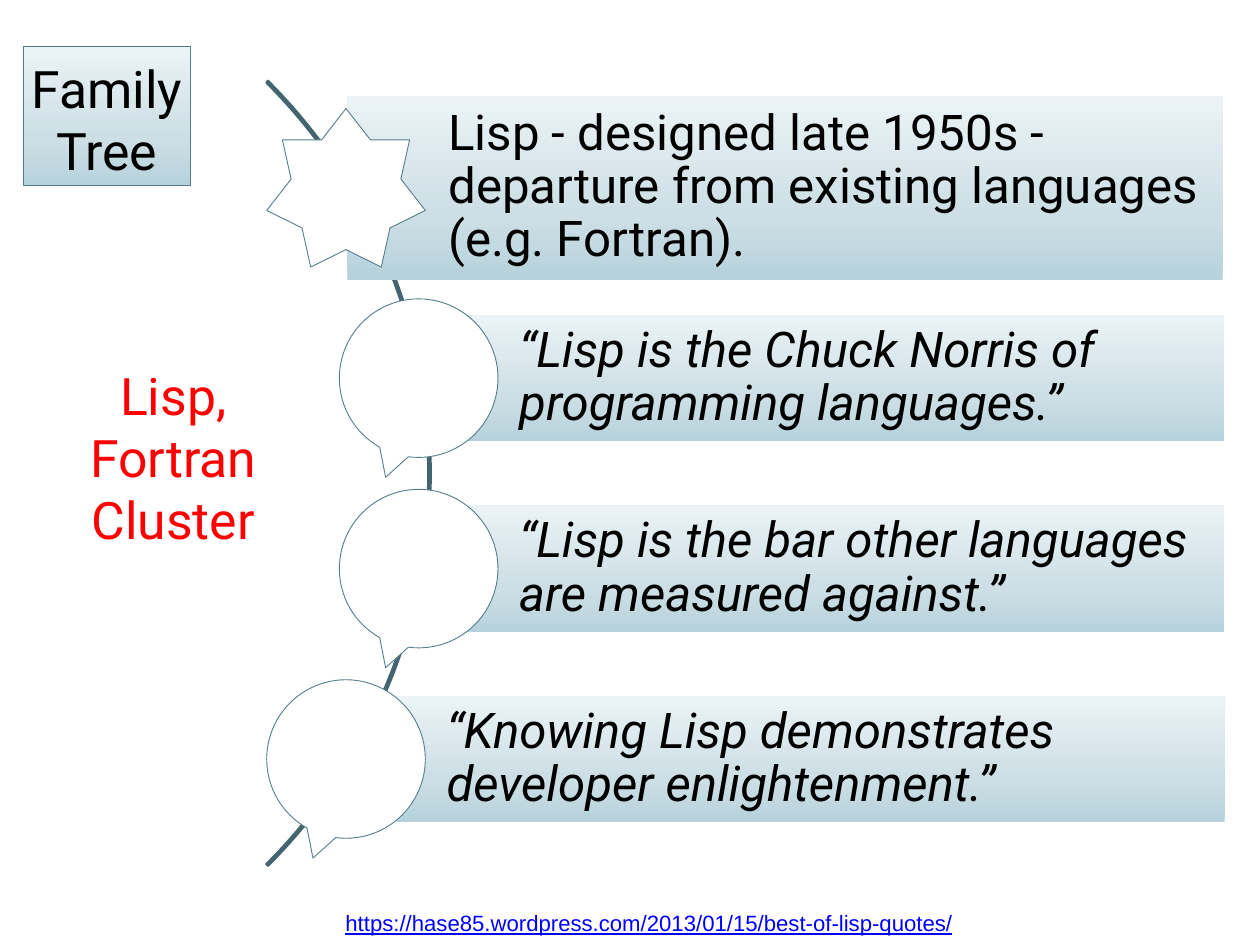
import copy
import dataclasses
import typing

import pptx
import pptx.dml.color
import pptx.enum.shapes
import pptx.enum.text
import pptx.oxml.ns
import pptx.util

Inches = pptx.util.Inches
Color = pptx.dml.color.RGBColor
Shape = pptx.enum.shapes.MSO_SHAPE
Anchor = pptx.enum.text.MSO_ANCHOR
Align = pptx.enum.text.PP_ALIGN


@dataclasses.dataclass(frozen=True)
class Theme:
    font: str = "Roboto"
    link_font: str = "Arial"
    label_size: int = 42
    quote_size: int = 40
    link_size: int = 18
    text: str = "000000"
    cluster: str = "FF0000"
    link: str = "0000FF"
    icon_fill: str = "FFFFFF"
    icon_line: str = "557E8A"
    label_line: str = "527C88"
    arc_line: str = "44656F"
    thin: float = 0.75
    thick: float = 2
    gradient: tuple[tuple[float, str], ...] = (
        (0, "B7D2DC"), (0.35, "CDDFE5"), (1, "EBF3F6"))


@dataclasses.dataclass(frozen=True)
class Box:
    left: float
    top: float
    width: float
    height: float

    def lengths(self) -> tuple[pptx.util.Length, ...]:
        return tuple(Inches(value) for value in dataclasses.astuple(self))


@dataclasses.dataclass(frozen=True)
class TextStyle:
    size: float
    color: str
    font: str
    italic: bool = False
    underline: bool = False


@dataclasses.dataclass(frozen=True)
class Entry:
    text: str
    icon: Shape
    icon_left: float
    bar_left: float
    bar_width: float
    bar_height: float = 1.43
    italic: bool = True


THEME = Theme()
ICON_SIZE = 1.79
FIRST_CENTER = 2.12
ROW_PITCH = 2.15
LABEL_INSETS = (0.06, 0.06, 0.06, 0.06)
BAR_INSETS = (1.14, 0.11, 0.11, 0.11)

ENTRIES = (
    Entry("Lisp - designed late 1950s - departure from existing languages (e.g. Fortran).",
          Shape.STAR_7_POINT, 3.01, 3.92, 9.88, 2.08, False),
    Entry("“Lisp is the Chuck Norris of programming languages.”",
          Shape.OVAL_CALLOUT, 3.83, 4.72, 9.1),
    Entry("“Lisp is the bar other languages are measured against.”",
          Shape.OVAL_CALLOUT, 3.83, 4.72, 9.1),
    Entry("“Knowing Lisp demonstrates developer enlightenment.”",
          Shape.OVAL_CALLOUT, 3.01, 3.9, 9.92),
)


def add_outline(page: typing.Any, kind: Shape, box: Box, line: str | None = None,
                width: float = THEME.thin) -> typing.Any:
    """Add an unfilled preset shape without shadow; no line colour means no line."""
    shape = page.shapes.add_shape(kind, *box.lengths())
    shape.shadow.inherit = False
    shape.fill.background()
    if line is None:
        shape.line.fill.background()
    else:
        shape.line.color.rgb = Color.from_string(line)
        shape.line.width = pptx.util.Pt(width)
    return shape


def fill_gradient(shape: typing.Any) -> None:
    shape.fill.gradient()
    shape.fill.gradient_angle = 90
    stop_list = shape._element.spPr.find(".//" + pptx.oxml.ns.qn("a:gsLst"))
    stop_list.append(copy.deepcopy(stop_list[0]))
    for stop, (position, color) in zip(shape.fill.gradient_stops, THEME.gradient):
        stop.position = position
        stop.color.rgb = Color.from_string(color)


def write_text(shape: typing.Any, text: str, style: TextStyle, align: Align = Align.LEFT) -> None:
    para = shape.text_frame.paragraphs[0]
    para.alignment = align
    span = para.add_run()
    span.text = text
    span.font.name = style.font
    span.font.size = pptx.util.Pt(style.size)
    span.font.color.rgb = Color.from_string(style.color)
    span.font.italic = style.italic
    span.font.underline = style.underline


def set_frame(shape: typing.Any, anchor: Anchor, insets: tuple[float, ...]) -> None:
    """Wrap the text and set its anchor and left, top, right and bottom insets."""
    frame = shape.text_frame
    frame.word_wrap = True
    frame.vertical_anchor = anchor
    frame.margin_left, frame.margin_top, frame.margin_right, frame.margin_bottom = map(
        Inches, insets)


def add_arc(page: typing.Any) -> None:
    arc = add_outline(page, Shape.BLOCK_ARC, Box(-7.67, -0.92, 12.53, 12.53),
                      THEME.arc_line, THEME.thick)
    for index, value in enumerate((189, 27, 0.002)):
        arc.adjustments[index] = value


def add_entry(page: typing.Any, entry: Entry, center: float) -> None:
    bar = add_outline(page, Shape.RECTANGLE, Box(
        entry.bar_left, center - entry.bar_height / 2, entry.bar_width, entry.bar_height))
    fill_gradient(bar)
    set_frame(bar, Anchor.MIDDLE, BAR_INSETS)
    write_text(bar, entry.text,
               TextStyle(THEME.quote_size, THEME.text, THEME.font, entry.italic))
    bar.text_frame.paragraphs[0].line_spacing = 0.9

    icon = add_outline(page, entry.icon, Box(
        entry.icon_left, center - ICON_SIZE / 2, ICON_SIZE, ICON_SIZE), THEME.icon_line)
    icon.fill.solid()
    icon.fill.fore_color.rgb = Color.from_string(THEME.icon_fill)


def add_labels(page: typing.Any) -> None:
    title = add_outline(page, Shape.RECTANGLE, Box(0.26, 0.53, 1.89, 1.57), THEME.label_line)
    fill_gradient(title)
    cluster = page.shapes.add_textbox(*Box(0.34, 4.7, 3.23, 1.57).lengths())
    for label, text, color in ((title, "Family Tree", THEME.text),
                               (cluster, "Lisp, Fortran Cluster", THEME.cluster)):
        set_frame(label, Anchor.BOTTOM, LABEL_INSETS)
        write_text(label, text, TextStyle(THEME.label_size, color, THEME.font), Align.CENTER)


def add_source(page: typing.Any) -> None:
    source = page.shapes.add_textbox(*Box(3.8, 10.22, 7.19, 0.4).lengths())
    source.text_frame.word_wrap = False
    source.text_frame.auto_size = pptx.enum.text.MSO_AUTO_SIZE.SHAPE_TO_FIT_TEXT
    write_text(source, "https://hase85.wordpress.com/2013/01/15/best-of-lisp-quotes/",
               TextStyle(THEME.link_size, THEME.link, THEME.link_font, underline=True))


def main() -> None:
    deck = pptx.Presentation()
    deck.slide_width, deck.slide_height = Inches(14.22), Inches(10.67)
    page = deck.slides.add_slide(deck.slide_layouts[6])
    add_arc(page)
    for row, entry in enumerate(ENTRIES):
        add_entry(page, entry, FIRST_CENTER + row * ROW_PITCH)
    add_labels(page)
    add_source(page)
    deck.save("out.pptx")


if __name__ == "__main__":
    main()
